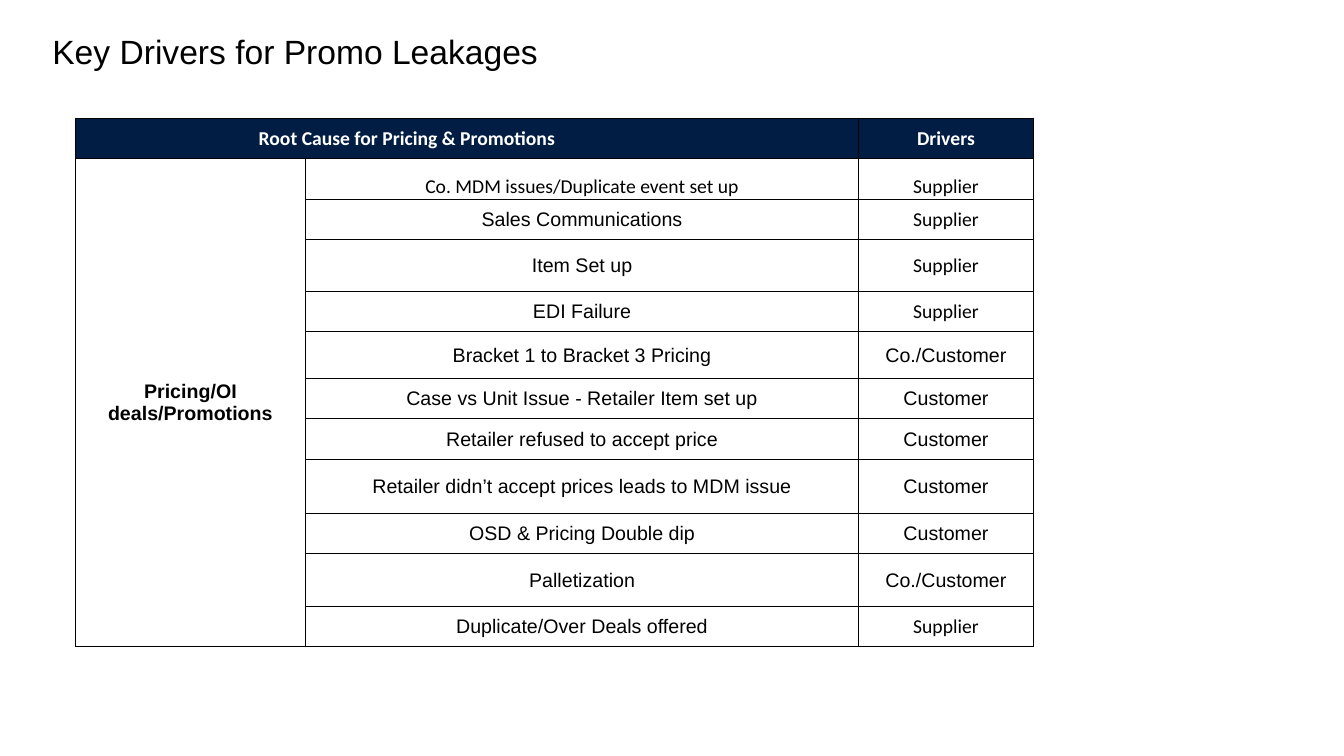
from pptx import Presentation
from pptx import util as u
from pptx.dml import color
from pptx.enum import text
from pptx.oxml import parse_xml
from pptx.oxml.ns import nsdecls

# Content
TITLE = "Key Drivers for Promo Leakages"
HEADERS = ("Root Cause for Pricing & Promotions", "Drivers")
GROUP = "Pricing/OI deals/Promotions"
CAUSES = [  # root cause, driver, row height in cm
    ("Co. MDM issues/Duplicate event set up", "Supplier", 1.02),
    ("Sales Communications", "Supplier", 1.02),
    ("Item Set up", "Supplier", 1.3),
    ("EDI Failure", "Supplier", 1.02),
    ("Bracket 1 to Bracket 3 Pricing", "Co./Customer", 1.18),
    ("Case vs Unit Issue - Retailer Item set up", "Customer", 1.02),
    ("Retailer refused to accept price", "Customer", 1.02),
    ("Retailer didn’t accept prices leads to MDM issue", "Customer", 1.36),
    ("OSD & Pricing Double dip", "Customer", 1.02),
    ("Palletization", "Co./Customer", 1.32),
    ("Duplicate/Over Deals offered", "Supplier", 1.02),
]
COLUMNS = (5.8, 13.94, 4.4)
HEADER_HEIGHT = 1.02
HEADER_INDENT = 4.62
COLORS = {"navy": "021D44", "white": "FFFFFF", "black": "000000"}


def write(frame, words, size=14, font="Arial", ink="black", bold=False,
          align=text.PP_ALIGN.CENTER):
    frame.word_wrap = True
    para = frame.paragraphs[0]
    para.alignment = align
    span = para.add_run()
    span.text = words
    span.font.size = u.Pt(size)
    span.font.name = font
    span.font.bold = bold
    span.font.color.rgb = color.RGBColor.from_string(COLORS[ink])


def style_cell(cell, fill="white", anchor=text.MSO_ANCHOR.MIDDLE, left=0.02):
    cell.margin_left = u.Cm(left)
    cell.margin_right = cell.margin_top = u.Cm(0.02)
    cell.margin_bottom = 0
    cell.vertical_anchor = anchor
    # Borders come before the fill in the cell properties
    properties = cell._tc.get_or_add_tcPr()
    for side in ("lnL", "lnR", "lnT", "lnB"):
        properties.append(parse_xml(
            f'<a:{side} {nsdecls("a")} w="{u.Pt(0.5)}"><a:solidFill>'
            f'<a:srgbClr val="{COLORS["black"]}"/></a:solidFill></a:{side}>'))
    cell.fill.solid()
    cell.fill.fore_color.rgb = color.RGBColor.from_string(COLORS[fill])


def main():
    deck = Presentation()
    deck.slide_width, deck.slide_height = u.Cm(33.87), u.Cm(19.05)
    page = deck.slides.add_slide(deck.slide_layouts[6])

    # Title
    box = page.shapes.add_textbox(u.Cm(1.07), u.Cm(0.64), u.Cm(23.7), u.Cm(1.27))
    box.text_frame.vertical_anchor = text.MSO_ANCHOR.MIDDLE
    write(box.text_frame, TITLE, size=24, align=text.PP_ALIGN.LEFT)

    # Table grid
    heights = [HEADER_HEIGHT] + [height for _, _, height in CAUSES]
    grid = page.shapes.add_table(
        len(heights), len(COLUMNS), u.Cm(1.9), u.Cm(2.97),
        u.Cm(sum(COLUMNS)), u.Cm(sum(heights))).table
    for column, width in zip(grid.columns, COLUMNS):
        column.width = u.Cm(width)
    for row, height in zip(grid.rows, heights):
        row.height = u.Cm(height)
    grid.cell(0, 0).merge(grid.cell(0, 1))
    grid.cell(1, 0).merge(grid.cell(len(CAUSES), 0))

    # Cell fills, borders and anchors
    for r in range(len(heights)):
        for c in range(len(COLUMNS)):
            bottom = r == 1 and c > 0
            style_cell(
                grid.cell(r, c),
                fill="white" if r else "navy",
                anchor=text.MSO_ANCHOR.BOTTOM if bottom else text.MSO_ANCHOR.MIDDLE,
                left=HEADER_INDENT if (r, c) == (0, 0) else 0.02)

    # Header row and group label
    header = dict(font="Calibri", ink="white", bold=True)
    write(grid.cell(0, 0).text_frame, HEADERS[0], align=text.PP_ALIGN.LEFT, **header)
    write(grid.cell(0, 2).text_frame, HEADERS[1], **header)
    write(grid.cell(1, 0).text_frame, GROUP, bold=True)

    # Causes and drivers
    for r, (cause, driver, _) in enumerate(CAUSES, start=1):
        write(grid.cell(r, 1).text_frame, cause, font="Calibri" if r == 1 else "Arial")
        write(grid.cell(r, 2).text_frame, driver,
              font="Calibri" if driver == "Supplier" else "Arial")

    deck.save("out.pptx")


if __name__ == "__main__":
    main()
